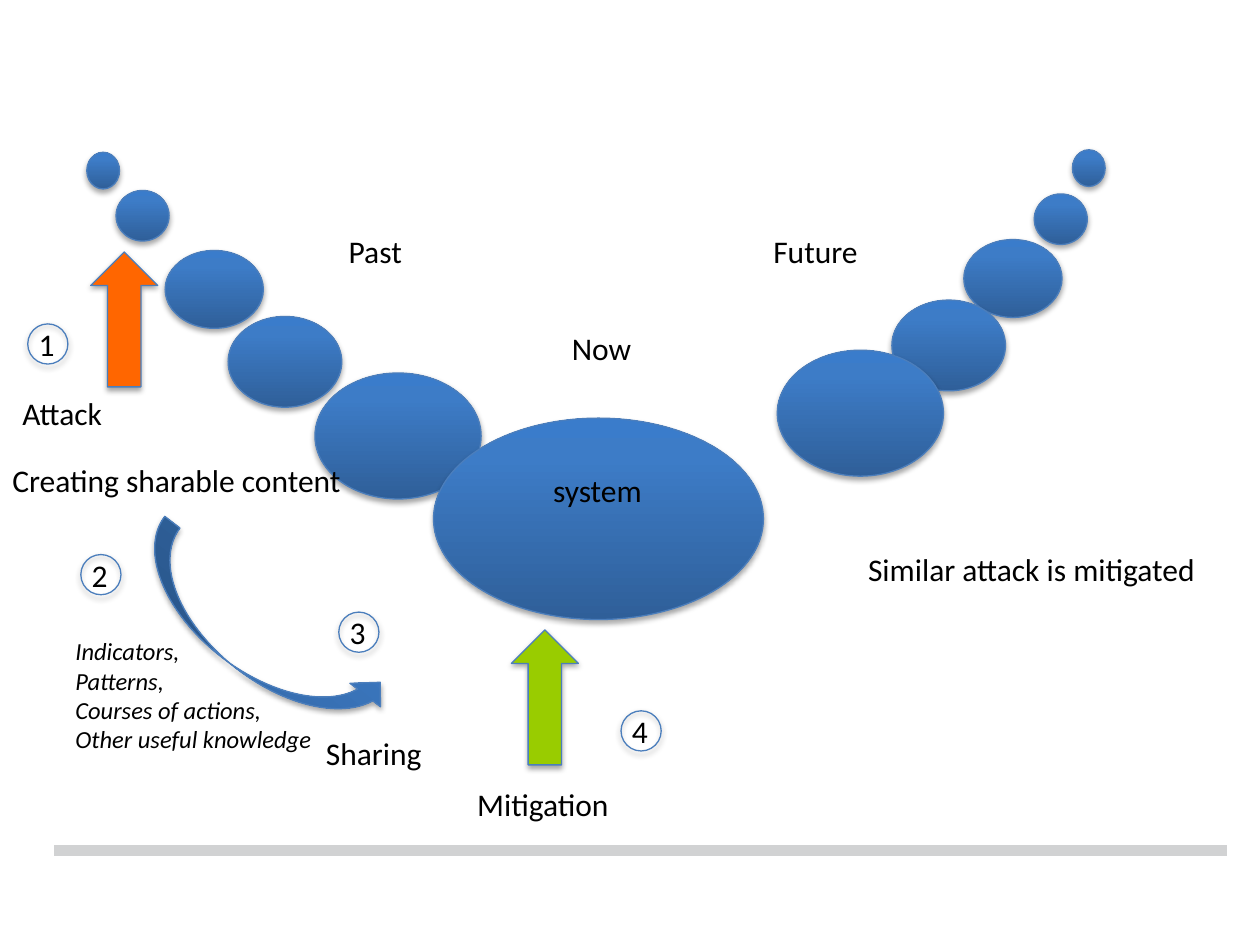
import pptx
import pptx.util
import pptx.dml.color
import pptx.enum.shapes
import pptx.enum.text
import pptx.oxml
import pptx.oxml.ns

Cm = pptx.util.Cm
SHAPE = pptx.enum.shapes.MSO_SHAPE
COLORS = {
    "text": "000000", "outline": "4B7EBC", "rule": "D1D2D3",
    "dark": "2F5F99", "mid": "3D7CC7", "light": "3A7CCB",
    "attack": "FF6600", "mitigation": "99CC00",
}
GRADIENT = ((0, "dark"), (80, "mid"), (100, "light"))


def rgb(name):
    return pptx.dml.color.RGBColor.from_string(COLORS[name])


def xml(body):
    tag, rest = body.split(" ", 1)
    return pptx.oxml.parse_xml(f"{tag} {pptx.oxml.ns.nsdecls('a')} {rest}")


class SlideBuilder:
    font = {"name": "Calibri", "size": pptx.util.Pt(18), "bold": False, "italic": False}
    frame = {"word_wrap": False,
             "auto_size": pptx.enum.text.MSO_AUTO_SIZE.SHAPE_TO_FIT_TEXT,
             "vertical_anchor": pptx.enum.text.MSO_ANCHOR.TOP}

    def __init__(self, prs):
        self.s = prs.slides.add_slide(prs.slide_layouts[6])

    def apply(self, target, values):
        for key, value in values.items():
            setattr(target, key, value)

    def rule(self, x1, x2, y, width):
        line = self.s.shapes.add_connector(
            pptx.enum.shapes.MSO_CONNECTOR.STRAIGHT, Cm(x1), Cm(y), Cm(x2), Cm(y))
        line.line.color.rgb = rgb("rule")
        line.line.width = pptx.util.Pt(width)
        line._element.spPr.append(xml("<a:effectLst />"))

    def shape(self, kind, x, y, w, h, fill="gradient", rotation=0):
        sp = self.s.shapes.add_shape(kind, Cm(x), Cm(y), Cm(w), Cm(h))
        sp.rotation = rotation
        sp.line.color.rgb = rgb("outline")
        sp.line.width = pptx.util.Pt(0.75)
        if fill == "gradient":
            self.gradient(sp)
        elif fill:
            sp.fill.solid()
            sp.fill.fore_color.rgb = rgb(fill)
        else:
            sp.fill.background()
        self.shadow(sp)

    def gradient(self, sp):
        sp.fill.gradient()
        sp.fill.gradient_angle = 90
        stops = sp._element.spPr.find(pptx.oxml.ns.qn("a:gradFill")).gsLst
        for stop in list(stops):
            stops.remove(stop)
        for pos, name in GRADIENT:
            stops.append(xml(f'<a:gs pos="{pos * 1000}">'
                             f'<a:srgbClr val="{COLORS[name]}"/></a:gs>'))

    def shadow(self, sp):
        sp.shadow.inherit = False
        effects = sp._element.spPr.find(pptx.oxml.ns.qn("a:effectLst"))
        effects.append(xml(
            '<a:outerShdw blurRad="40000" dist="23000" dir="5400000" rotWithShape="0">'
            '<a:srgbClr val="000000"><a:alpha val="35000"/></a:srgbClr></a:outerShdw>'))

    def text(self, x, y, w, *lines, h=1.02, **style):
        tf = self.s.shapes.add_textbox(Cm(x), Cm(y), Cm(w), Cm(h)).text_frame
        self.apply(tf, self.frame)
        for i, line in enumerate(lines):
            p = tf.add_paragraph() if i else tf.paragraphs[0]
            r = p.add_run()
            r.text = line
            self.apply(r.font, {**self.font, **style})
            r.font.color.rgb = rgb("text")

    def badge(self, x, y, number):
        self.shape(SHAPE.OVAL, x, y, 0.81, 0.81, fill=None)
        self.text(x - 0.03, y - 0.1, 0.84, str(number))


def main():
    prs = pptx.Presentation()
    prs.slide_width, prs.slide_height = Cm(25.4), Cm(19.05)
    b = SlideBuilder(prs)
    b.rule(1.09, 24.74, 17.15, 6)

    sizes = [(0.66, 0.74), (1.07, 1.02), (1.98, 1.57), (2.29, 1.83), (3.35, 2.54)]
    past = [(1.75, 3.07), (2.34, 3.84), (3.33, 5.05), (4.6, 6.38), (6.35, 7.52)]
    future = [(21.62, 3.02), (20.85, 3.91), (19.43, 4.83), (17.98, 6.05), (15.67, 7.06)]
    system = (8.74, 8.43, 6.65, 4.06)
    ovals = [at + size for side in (past, future) for at, size in zip(side, sizes)]
    ovals.insert(len(past), system)
    for oval in ovals:
        b.shape(SHAPE.OVAL, *oval)

    for x, y, fill in ((1.83, 5.08, "attack"), (10.31, 12.7, "mitigation")):
        b.shape(SHAPE.UP_ARROW, x, y, 1.35, 2.72, fill)
    b.shape(SHAPE.CURVED_UP_ARROW, 2.24, 12.04, 5.87, 1.55, rotation=37.6)

    for label in (
        (11.28, 6.5, 1.73, "Now"),
        (6.78, 4.55, 1.6, "Past"),
        (15.34, 4.55, 2.24, "Future"),
        (0.2, 7.82, 2.16, "Attack"),
        (10.9, 9.37, 2.31, "system"),
        (9.37, 15.7, 3.2, "Mitigation"),
        (0, 9.17, 7.21, "Creating sharable content"),
        (6.32, 14.68, 2.46, "Sharing"),
        (17.25, 10.97, 7.19, "Similar attack is mitigated"),
    ):
        b.text(*label)
    b.text(1.27, 12.7, 5.44, "Indicators,", "Patterns,", "Courses of actions,",
           "Other useful knowledge", h=2.64, size=pptx.util.Pt(14), italic=True)

    badges = [(0.56, 6.53), (1.63, 11.18), (6.83, 12.34), (12.52, 14.33)]
    for number, (x, y) in enumerate(badges, 1):
        b.badge(x, y, number)

    prs.save("out.pptx")


if __name__ == "__main__":
    main()
